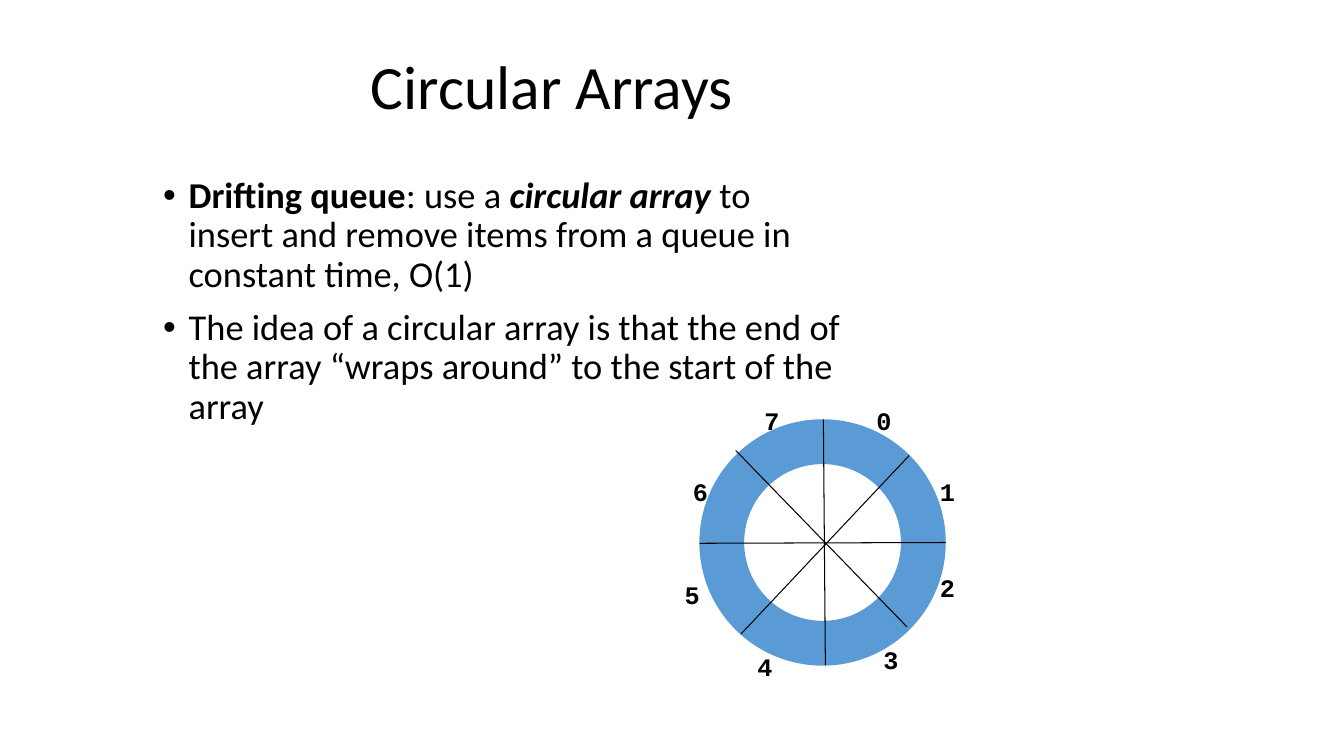
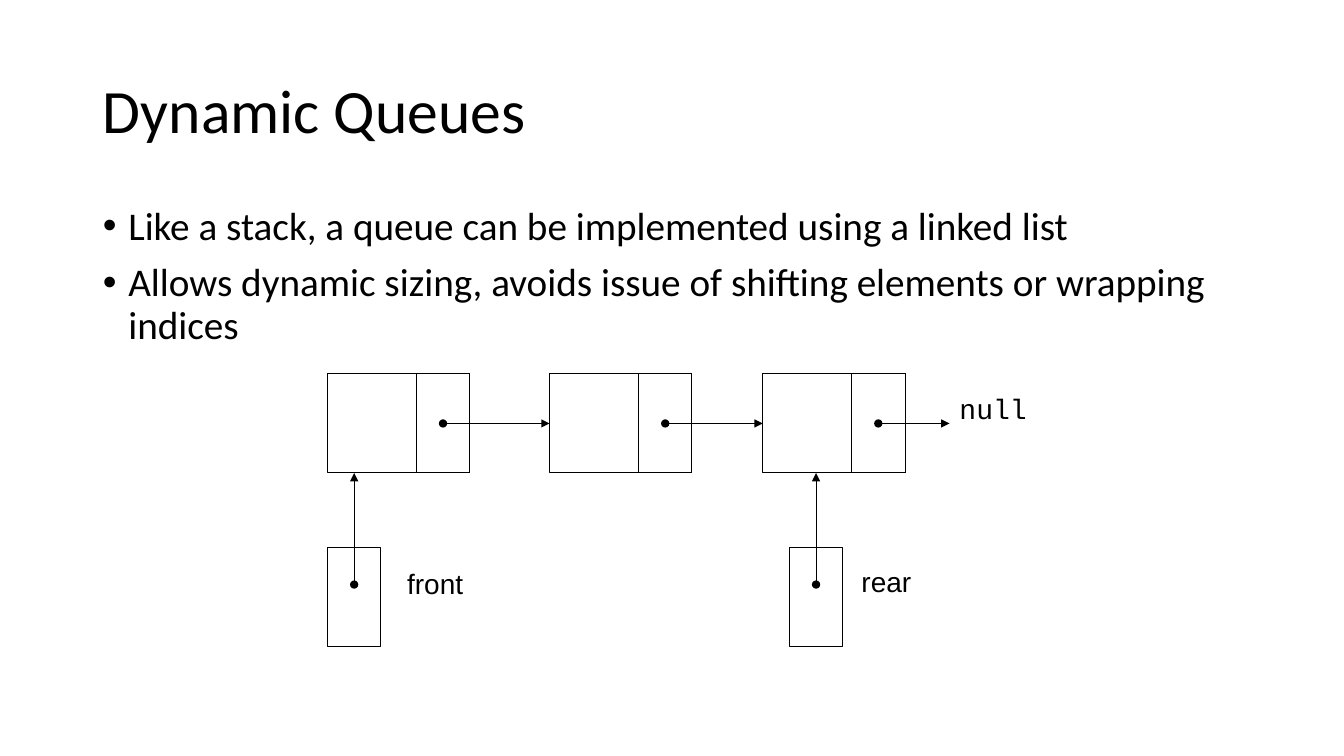
from dataclasses import dataclass
from itertools import zip_longest

from lxml.etree import SubElement
from pptx import Presentation
from pptx.dml.color import RGBColor
from pptx.enum.shapes import MSO_CONNECTOR, MSO_SHAPE
from pptx.enum.text import MSO_ANCHOR, MSO_AUTO_SIZE, PP_ALIGN
from pptx.oxml.ns import qn
from pptx.util import Cm, Pt


@dataclass(frozen=True)
class Theme:
    ink: RGBColor = RGBColor(0x00, 0x00, 0x00)
    ring: RGBColor = RGBColor(0x5B, 0x9B, 0xD5)
    heading_font: str = "Calibri"
    label_font: str = "Arial"
    code_font: str = "Courier New"
    title_size: float = 44
    index_size: float = 18
    label_size: float = 20
    thin: float = 0.75
    ring_width: float = 32


THEME = Theme()

CIRCULAR = {
    "title": "Circular Arrays",
    "title_box": (9.09, 0.43, 17.63, 3.66),
    "body_box": (3.86, 4.34, 17.63, 10.77),
    "body_size": 26,
    "bullets": [
        [("Drifting queue", "b"), (": use a ", ""), ("circular array", "bi"),
         (" to insert and remove items from a queue in constant time, O(1)", "")],
        [("The idea of a circular array is that the end of the array "
          "“wraps around” to the start of the array", "")],
    ],
}
DYNAMIC = {
    "title": "Dynamic Queues",
    "title_box": (2.34, 1.02, 29.21, 3.68),
    "body_box": (2.34, 5.08, 29.21, 12.09),
    "body_size": 28,
    "bullets": [
        [("Like a stack, a queue can be implemented using a linked list", "")],
        [("Allows dynamic sizing, avoids issue of shifting elements "
          "or wrapping indices", "")],
    ],
}

RING_BOX = (18.19, 11.13, 5.08, 5.08)
SPOKES = [
    ((20.75, 10.57), (20.8, 16.76)),
    ((17.63, 13.69), (23.83, 13.67)),
    ((18.54, 11.35), (22.86, 15.8)),
    ((22.91, 11.48), (18.67, 15.98)),
]
INDEX_CORNERS = [
    (21.64, 10.08), (23.24, 11.89), (23.24, 14.3), (21.82, 16.1),
    (18.64, 16.28), (16.81, 14.48), (17.02, 11.89), (18.82, 10.08),
]
INDEX_SIZE = (1.27, 1.02)

NODE_LEFTS = [8.25, 13.85, 19.22]
NODE_TOP, NODE_WIDTH, CELL_WIDTH, CELL_HEIGHT = 9.42, 3.59, 1.35, 2.5
NULL_LEFT = 23.93
POINTER_LEFTS = [8.25, 19.89]
POINTER_TOP, POINTER_DOT = 13.79, 14.73
LABELS = [
    ("front", (10.01, 14.15, 2.03, 1.63), THEME.label_font),
    ("rear", (21.46, 14.1, 1.88, 1.63), THEME.label_font),
    ("null", (NULL_LEFT, 9.73, 2.36, 1.65), THEME.code_font),
]


def write(paragraph, text, *, font, size, style="", align=PP_ALIGN.LEFT):
    paragraph.alignment = align
    run = paragraph.add_run()
    run.text = text
    run.font.name = font
    run.font.size = Pt(size)
    run.font.bold = "b" in style
    run.font.italic = "i" in style
    run.font.color.rgb = THEME.ink


def place(shape, box):
    shape.left, shape.top, shape.width, shape.height = map(Cm, box)


def add_text_slide(presentation, content):
    slide = presentation.slides.add_slide(presentation.slide_layouts[1])
    title, body = slide.placeholders
    place(title, content["title_box"])
    place(body, content["body_box"])
    for shape in (title, body):
        shape.text_frame.auto_size = MSO_AUTO_SIZE.NONE
        shape.text_frame.word_wrap = True

    title.text_frame.vertical_anchor = MSO_ANCHOR.MIDDLE
    heading = title.text_frame.paragraphs[0]
    heading.line_spacing = 0.9
    write(heading, content["title"], font=THEME.heading_font, size=THEME.title_size)

    for number, runs in enumerate(content["bullets"]):
        frame = body.text_frame
        paragraph = frame.add_paragraph() if number else frame.paragraphs[0]
        paragraph.line_spacing = 0.9
        paragraph.space_before = Pt(10)
        properties = paragraph._p.get_or_add_pPr()
        properties.set("marL", str(Cm(0.64)))
        properties.set("indent", str(-Cm(0.64)))
        for text, style in runs:
            write(paragraph, text, font=THEME.heading_font,
                  size=content["body_size"], style=style)
    return slide


def add_label(slide, text, box, *, wrap=False, **text_format):
    frame = slide.shapes.add_textbox(*map(Cm, box)).text_frame
    frame.word_wrap = wrap
    frame.auto_size = MSO_AUTO_SIZE.SHAPE_TO_FIT_TEXT
    write(frame.paragraphs[0], text, **text_format)


def add_outline(slide, preset, box, color=THEME.ink, width=THEME.thin):
    shape = slide.shapes.add_shape(preset, *map(Cm, box))
    shape.shadow.inherit = False
    shape.fill.background()
    shape.line.color.rgb = color
    shape.line.width = Pt(width)
    return shape


def add_line(slide, start, end, arrow=False):
    line = slide.shapes.add_connector(
        MSO_CONNECTOR.STRAIGHT, *map(Cm, (*start, *end)))
    line.line.color.rgb = THEME.ink
    line.line.width = Pt(THEME.thin)
    SubElement(line._element.spPr, qn("a:effectLst"))
    if arrow:
        outline = line.line._get_or_add_ln()
        SubElement(outline, qn("a:headEnd"), type="oval")
        SubElement(outline, qn("a:tailEnd"), type="triangle")
    return line


def draw_ring(slide):
    add_outline(slide, MSO_SHAPE.OVAL, RING_BOX, THEME.ring, THEME.ring_width)
    for start, end in SPOKES:
        add_line(slide, start, end)
    for index, corner in enumerate(INDEX_CORNERS):
        add_label(slide, str(index), (*corner, *INDEX_SIZE), wrap=True,
                  font=THEME.code_font, size=THEME.index_size, style="b",
                  align=PP_ALIGN.CENTER)


def draw_linked_queue(slide):
    nodes = []
    for left in NODE_LEFTS:
        nodes.append(add_outline(slide, MSO_SHAPE.RECTANGLE,
                                 (left, NODE_TOP, NODE_WIDTH, CELL_HEIGHT)))
        add_outline(slide, MSO_SHAPE.RECTANGLE,
                    (left + NODE_WIDTH - CELL_WIDTH, NODE_TOP, CELL_WIDTH, CELL_HEIGHT))

    middle = NODE_TOP + CELL_HEIGHT / 2
    for left, next_left, next_node in zip_longest(
            NODE_LEFTS, NODE_LEFTS[1:], nodes[1:]):
        start = (left + NODE_WIDTH - CELL_WIDTH / 2, middle)
        end = (next_left or NULL_LEFT, middle)
        link = add_line(slide, start, end, arrow=True)
        if next_node is not None:
            link.end_connect(next_node, 1)

    for left in POINTER_LEFTS:
        add_outline(slide, MSO_SHAPE.RECTANGLE,
                    (left, POINTER_TOP, CELL_WIDTH, CELL_HEIGHT))
        center = left + CELL_WIDTH / 2
        add_line(slide, (center, POINTER_DOT), (center, NODE_TOP + CELL_HEIGHT),
                 arrow=True)

    for text, box, font in LABELS:
        add_label(slide, text, box, font=font, size=THEME.label_size)


def main():
    presentation = Presentation()
    presentation.slide_width = Cm(33.87)
    presentation.slide_height = Cm(19.05)
    draw_ring(add_text_slide(presentation, CIRCULAR))
    draw_linked_queue(add_text_slide(presentation, DYNAMIC))
    presentation.save("out.pptx")


if __name__ == "__main__":
    main()
